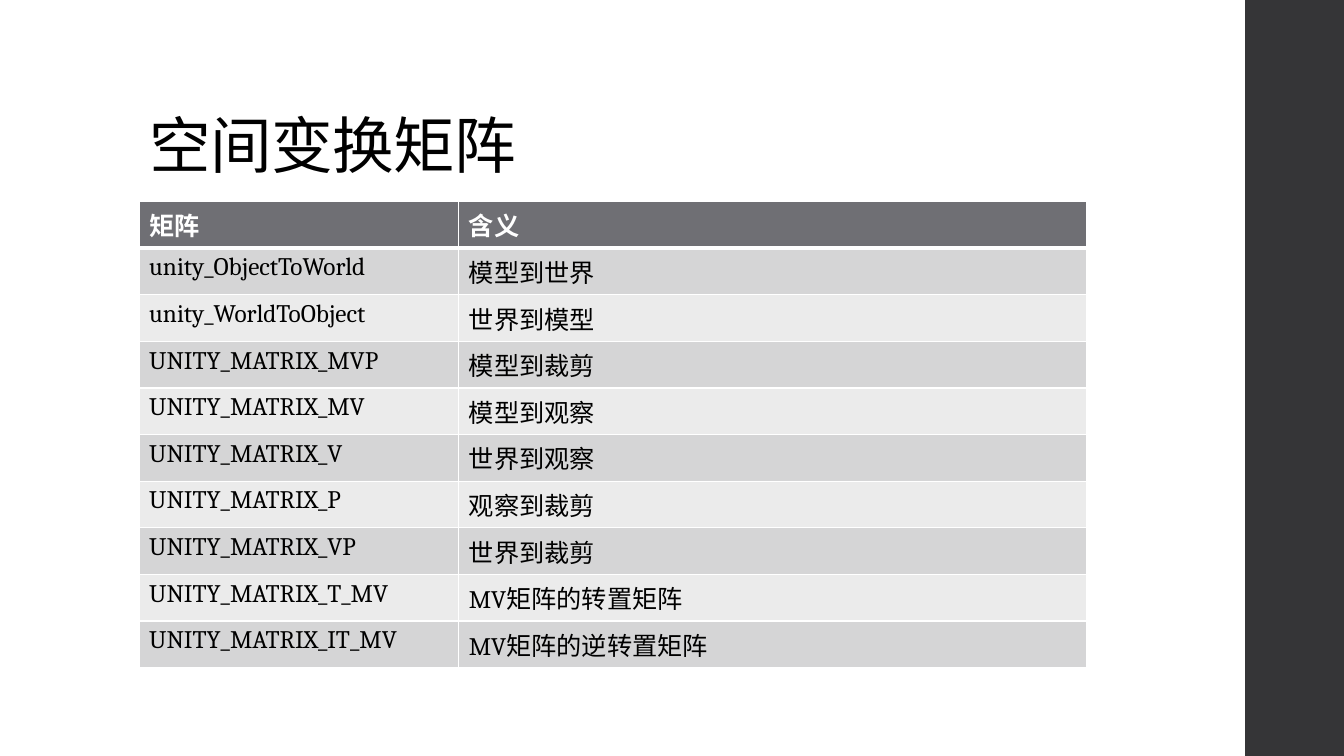
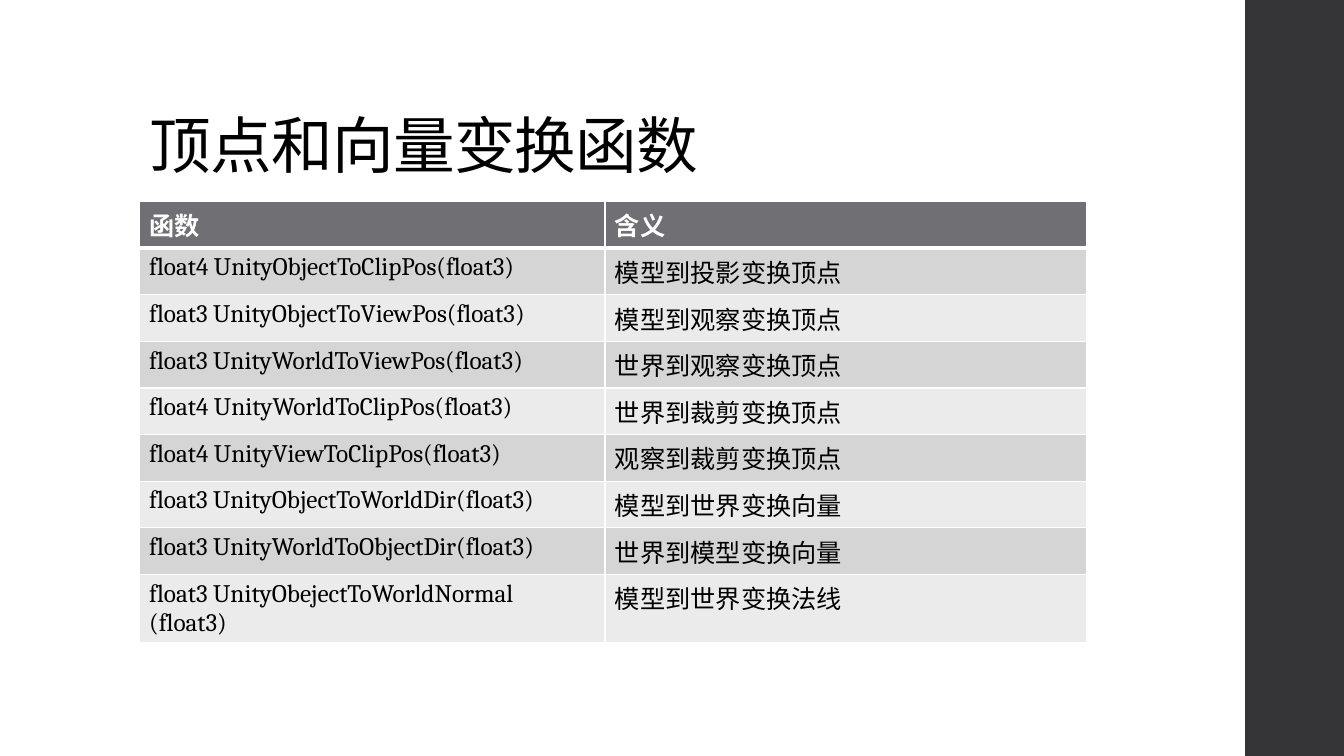
from dataclasses import dataclass

from lxml import etree
from pptx import Presentation
from pptx.dml.color import RGBColor
from pptx.enum.lang import MSO_LANGUAGE_ID
from pptx.enum.shapes import MSO_SHAPE
from pptx.enum.text import MSO_ANCHOR, MSO_AUTO_SIZE, PP_ALIGN
from pptx.oxml.ns import qn
from pptx.util import Inches, Pt

RECTANGLE = MSO_SHAPE.RECTANGLE
BOTTOM = MSO_ANCHOR.BOTTOM
NO_AUTOFIT = MSO_AUTO_SIZE.NONE
LEFT = PP_ALIGN.LEFT
CHINESE = MSO_LANGUAGE_ID.SIMPLIFIED_CHINESE


@dataclass(frozen=True)
class Theme:
    font: str = "Cambria"
    title_size: int = 44
    table_size: int = 18
    text: str = "000000"
    white: str = "FFFFFF"
    band: str = "353537"
    header: str = "6F6F74"
    row_fills: tuple = ("EBEBEB", "D5D5D6")


THEME = Theme()
TABLE_LEFT, TABLE_TOP, ROW_HEIGHT = 1.38, 2, 0.41

TABLES = [
    {
        "title": "空间变换矩阵",
        "widths": (3.17, 6.23),
        "rows": [
            ("矩阵", "含义"),
            ("unity_ObjectToWorld", "模型到世界"),
            ("unity_WorldToObject", "世界到模型"),
            ("UNITY_MATRIX_MVP", "模型到裁剪"),
            ("UNITY_MATRIX_MV", "模型到观察"),
            ("UNITY_MATRIX_V", "世界到观察"),
            ("UNITY_MATRIX_P", "观察到裁剪"),
            ("UNITY_MATRIX_VP", "世界到裁剪"),
            ("UNITY_MATRIX_T_MV", "MV矩阵的转置矩阵"),
            ("UNITY_MATRIX_IT_MV", "MV矩阵的逆转置矩阵"),
        ],
    },
    {
        "title": "顶点和向量变换函数",
        "widths": (4.62, 4.78),
        "rows": [
            ("函数", "含义"),
            ("float4 UnityObjectToClipPos(float3)", "模型到投影变换顶点"),
            ("float3 UnityObjectToViewPos(float3)", "模型到观察变换顶点"),
            ("float3 UnityWorldToViewPos(float3)", "世界到观察变换顶点"),
            ("float4 UnityWorldToClipPos(float3)", "世界到裁剪变换顶点"),
            ("float4 UnityViewToClipPos(float3)", "观察到裁剪变换顶点"),
            ("float3 UnityObjectToWorldDir(float3)", "模型到世界变换向量"),
            ("float3 UnityWorldToObjectDir(float3)", "世界到模型变换向量"),
            ("float3 UnityObejectToWorldNormal (float3)", "模型到世界变换法线"),
        ],
    },
]


def write(frame, text, size, color, bold=False):
    """Put one formatted run into a text frame and return the run."""
    run = frame.paragraphs[0].add_run()
    run.text = text
    run.font.color.rgb = RGBColor.from_string(color)
    formats = {"name": THEME.font, "size": Pt(size), "bold": bold, "language_id": CHINESE}
    for name, value in formats.items():
        setattr(run.font, name, value)
    return run


def add_borders(cell, row_index):
    """Draw white cell borders, thick between header and body."""
    properties = cell._tc.get_or_add_tcPr()
    thick_side = {0: "lnB", 1: "lnT"}.get(row_index)
    for side in ("lnL", "lnR", "lnT", "lnB"):
        width = Pt(3 if side == thick_side else 1)
        line = etree.SubElement(properties, qn(f"a:{side}"), w=str(width))
        fill = etree.SubElement(line, qn("a:solidFill"))
        etree.SubElement(fill, qn("a:srgbClr"), val=THEME.white)


presentation = Presentation()
presentation.slide_width = Inches(13.33)
presentation.slide_height = Inches(7.5)
layout = presentation.slide_layouts[5]

# Shared title position
layout_title = layout.placeholders[0]
title_box = {"left": 1.38, "top": 0.4, "width": 10.6, "height": 1.45}
for name, value in title_box.items():
    setattr(layout_title, name, Inches(value))

for number, content in enumerate(TABLES):
    slide = presentation.slides.add_slide(layout)

    # Side band, drawn once and moved to the shared layout
    if number == 0:
        band = slide.shapes.add_shape(RECTANGLE, Inches(12.35), 0, Inches(1), Inches(7.5))
        band.shadow.inherit = False
        band.fill.solid()
        band.fill.fore_color.rgb = RGBColor.from_string(THEME.band)
        band.line.fill.background()
        band.element.nvSpPr.cNvPr.set("id", "20")
        layout.shapes.element.insert(2, band.element)

    # Title
    frame = slide.shapes.title.text_frame
    frame.auto_size = NO_AUTOFIT
    frame.vertical_anchor = BOTTOM
    paragraph = frame.paragraphs[0]
    paragraph.alignment = LEFT
    paragraph.line_spacing = 0.9
    run = write(frame, content["title"], THEME.title_size, THEME.text)
    run.font._element.set("spc", "-50")

    # Table
    rows, widths = content["rows"], content["widths"]
    table = slide.shapes.add_table(
        len(rows), len(widths), Inches(TABLE_LEFT), Inches(TABLE_TOP),
        Inches(sum(widths)), Inches(ROW_HEIGHT * len(rows))).table
    for column, width in zip(table.columns, widths):
        column.width = Inches(width)
    for row_index, texts in enumerate(rows):
        table.rows[row_index].height = Inches(ROW_HEIGHT)
        is_header = row_index == 0
        fill = THEME.header if is_header else THEME.row_fills[row_index % 2]
        color = THEME.white if is_header else THEME.text
        for column_index, text in enumerate(texts):
            cell = table.cell(row_index, column_index)
            add_borders(cell, row_index)
            cell.fill.solid()
            cell.fill.fore_color.rgb = RGBColor.from_string(fill)
            write(cell.text_frame, text, THEME.table_size, color, is_header)

presentation.save("out.pptx")
